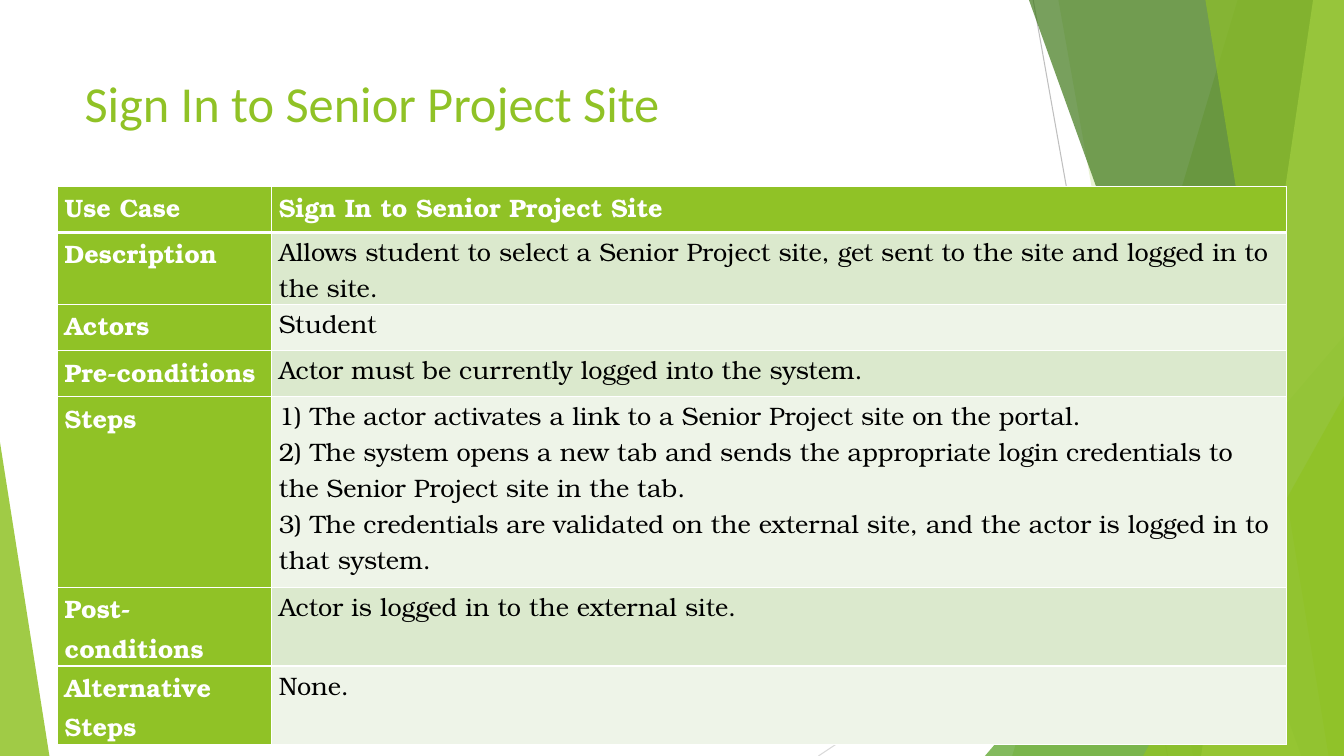
from dataclasses import dataclass

from lxml.etree import SubElement
from pptx import Presentation
from pptx.dml.color import RGBColor
from pptx.enum.shapes import MSO_CONNECTOR as Connector, MSO_SHAPE as Shape
from pptx.enum.text import MSO_ANCHOR as Anchor
from pptx.oxml.ns import qn
from pptx.util import Pt


@dataclass(frozen=True)
class Theme:
    accent: str = "90C226"
    leaf: str = "54A021"
    forest: str = "3F7819"
    lime: str = "C0E474"
    white: str = "FFFFFF"
    black: str = "000000"
    silver: str = "BFBFBF"
    mist: str = "D9D9D9"
    bands: tuple = ("DBE9CD", "EEF4E8")
    title_font: str = "Calibri"
    table_font: str = "TeX Gyre Bonum"
    title_size: int = 36
    table_size: int = 18
    line_spacing: float = 1.07


WIDTH, HEIGHT = 960, 540
USE_CASE = [
    ("Use Case", ["Sign In to Senior Project Site"], 33),
    ("Description", ["Allows student to select a Senior Project site, get sent to the site "
                     "and logged in to the site."], 51.4),
    ("Actors", ["Student"], 33),
    ("Pre-conditions", ["Actor must be currently logged into the system."], 33),
    ("Steps", [
        "1) The actor activates a link to a Senior Project site on the portal.",
        "2) The system opens a new tab and sends the appropriate login credentials "
        "to the Senior Project site in the tab.",
        "3) The credentials are validated on the external site, and the actor is "
        "logged in to that system.",
    ], 136),
    ("Post-conditions", ["Actor is logged in to the external site."], 56.4),
    ("Alternative Steps", ["None."], 56),
]


class SlideBuilder:
    def __init__(self, slide, theme):
        self.slide = slide
        self.theme = theme

    def style_font(self, font, name, size, color, bold=False):
        font.name = name
        font.size = Pt(size)
        font.bold = bold
        font.color.rgb = RGBColor.from_string(color)

    def paint(self, shape, color, opacity):
        shape.shadow.inherit = False
        shape.line.fill.background()
        shape.fill.solid()
        shape.fill.fore_color.rgb = RGBColor.from_string(color)
        color_node = shape.fill._xPr.find(qn("a:solidFill"))[0]
        SubElement(color_node, qn("a:alpha"), val=str(opacity * 1000))

    def line(self, start, end, color):
        connector = self.slide.shapes.add_connector(
            Connector.STRAIGHT, *(Pt(value) for value in start + end))
        connector.line.color.rgb = RGBColor.from_string(color)
        connector.line.width = Pt(0.75)
        SubElement(connector._element.spPr, qn("a:effectLst"))

    def right_panel(self, top_left, bottom_left, color, opacity):
        builder = self.slide.shapes.build_freeform(Pt(top_left), 0)
        corners = [(WIDTH, 0), (WIDTH, HEIGHT), (bottom_left, HEIGHT)]
        builder.add_line_segments([(Pt(x), Pt(y)) for x, y in corners])
        self.paint(builder.convert_to_shape(), color, opacity)

    def triangle(self, left, top, width, apex, color, opacity):
        shape = self.slide.shapes.add_shape(
            Shape.ISOSCELES_TRIANGLE, Pt(left), Pt(top), Pt(width), Pt(HEIGHT - top))
        shape.adjustments[0] = apex
        self.paint(shape, color, opacity)

    def title(self, text, left, top, width, height):
        box = self.slide.shapes.add_textbox(Pt(left), Pt(top), Pt(width), Pt(height))
        frame = box.text_frame
        frame.word_wrap = True
        frame.vertical_anchor = Anchor.TOP
        frame.text = text
        theme = self.theme
        self.style_font(frame.paragraphs[0].font, theme.title_font, theme.title_size, theme.accent)

    def border(self, cell, side, width):
        line = SubElement(cell._tc.get_or_add_tcPr(), qn(f"a:ln{side}"), w=str(Pt(width)))
        fill = SubElement(line, qn("a:solidFill"))
        SubElement(fill, qn("a:srgbClr"), val=self.theme.white)

    def cell(self, cell, lines, fill, color, bold, top_border, bottom_border):
        theme = self.theme
        cell.margin_left = cell.margin_right = Pt(5.2)
        cell.margin_top = cell.margin_bottom = 0
        for side, width in zip("LRTB", (1, 1, top_border, bottom_border)):
            self.border(cell, side, width)
        cell.fill.solid()
        cell.fill.fore_color.rgb = RGBColor.from_string(fill)
        cell.text = "\n".join(lines)
        for paragraph in cell.text_frame.paragraphs:
            paragraph.line_spacing = theme.line_spacing
            self.style_font(paragraph.font, theme.table_font, theme.table_size, color, bold)

    def table(self, rows, left, top, column_widths):
        theme = self.theme
        heights = [height for _, _, height in rows]
        table = self.slide.shapes.add_table(
            len(rows), len(column_widths), Pt(left), Pt(top),
            Pt(sum(column_widths)), Pt(sum(heights))).table
        for column, width in zip(table.columns, column_widths):
            column.width = Pt(width)
        for index, (label, lines, height) in enumerate(rows):
            table.rows[index].height = Pt(height)
            for column, content in enumerate(([label], lines)):
                heading = index == 0 or column == 0
                self.cell(
                    table.cell(index, column), content,
                    fill=theme.accent if heading else theme.bands[(index - 1) % 2],
                    color=theme.white if heading else theme.black,
                    bold=heading,
                    top_border=3 if index == 1 else 1,
                    bottom_border=3 if index == 0 else 1)


def main():
    presentation = Presentation()
    presentation.slide_width, presentation.slide_height = Pt(WIDTH), Pt(HEIGHT)
    theme = Theme()
    slide = SlideBuilder(presentation.slides.add_slide(presentation.slide_layouts[6]), theme)

    slide.line((738, 0), (834, HEIGHT), theme.silver)
    slide.line((WIDTH, 290), (584.6, HEIGHT), theme.mist)
    slide.right_panel(884, 723, theme.accent, 30)
    slide.right_panel(756, 852, theme.accent, 20)
    slide.triangle(703.5, 240, 256.5, 1, theme.leaf, 72)
    slide.right_panel(735, 929.5, theme.forest, 70)
    slide.right_panel(938, 858, theme.lime, 70)
    slide.right_panel(861, 949, theme.accent, 65)
    slide.triangle(816.5, 283, 143.5, 1, theme.accent, 80)
    slide.triangle(0, 316, 35.3, 0, theme.accent, 85)

    slide.title("Sign In to Senior Project Site", 53.3, 48, 677, 104)
    slide.table(USE_CASE, 41, 133, (153, 725))
    presentation.save("out.pptx")


if __name__ == "__main__":
    main()
